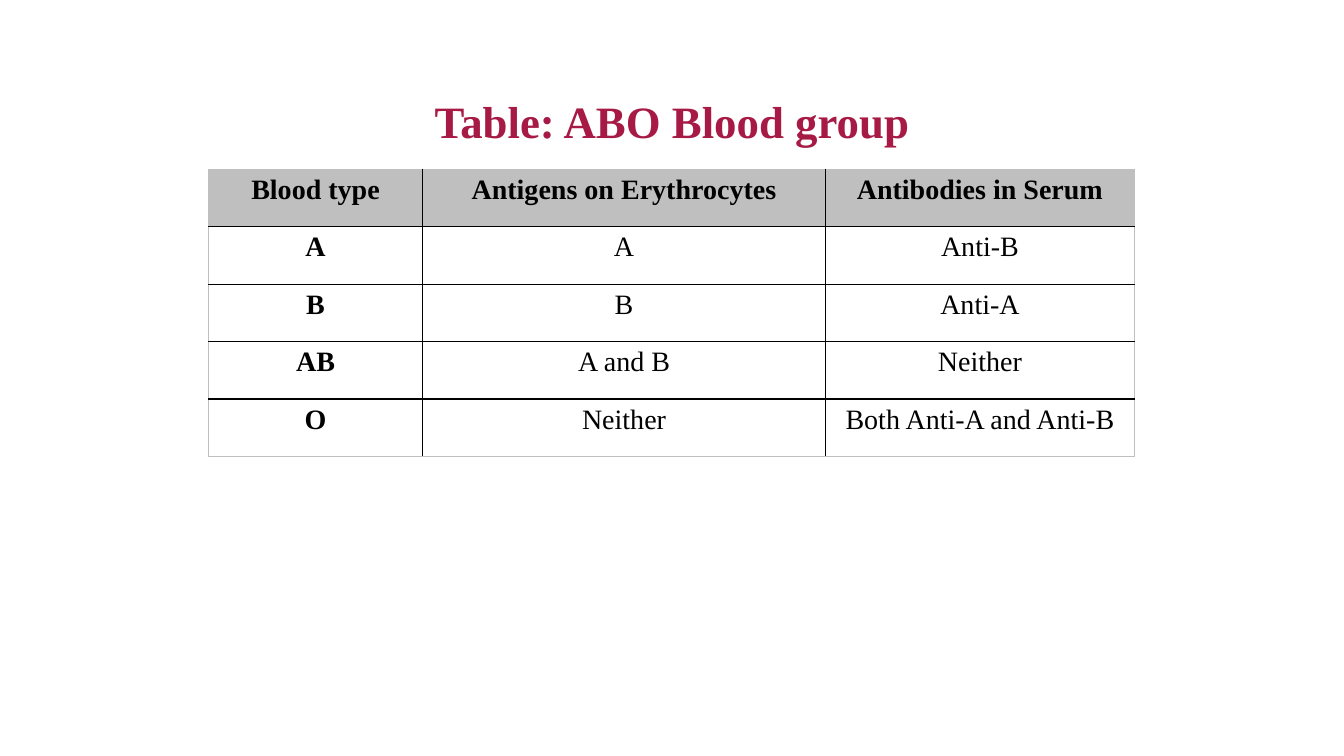
from lxml.etree import SubElement
from pptx import Presentation
from pptx.dml.color import RGBColor as RGB
from pptx.enum.text import MSO_ANCHOR as Anchor, MSO_AUTO_SIZE as AutoSize, PP_ALIGN as Align
from pptx.oxml import parse_xml
from pptx.oxml.ns import nsdecls, qn
from pptx.util import Inches, Pt

COLORS = {"title": "A61A45", "text": "000000", "header": "BFBFBF",
          "inner": "000000", "outer": "BFBFBF"}
FONT = "Times New Roman"
TITLE_BOX = (4.2, 0.88, 4.93, 0.64)
TABLE_BOX = (2.07, 1.68, 9.18, 2.85)
COLUMN_SHARES = (2.12, 4, 3.06)
BLOOD_GROUPS = [
    ("Blood type", "Antigens on Erythrocytes", "Antibodies in Serum"),
    ("A", "A", "Anti-B"),
    ("B", "B", "Anti-A"),
    ("AB", "A and B", "Neither"),
    ("O", "Neither", "Both Anti-A and Anti-B"),
]


def write_centered(frame, text, size, color, bold):
    frame.text = text
    paragraph = frame.paragraphs[0]
    paragraph.alignment = Align.CENTER
    font = paragraph.runs[0].font
    for name, value in {"name": FONT, "size": Pt(size), "bold": bold}.items():
        setattr(font, name, value)
    font.color.rgb = RGB.from_string(COLORS[color])


def add_title(slide, box):
    title = slide.shapes.title
    for name, value in zip(("left", "top", "width", "height"), box):
        setattr(title, name, Inches(value))
    frame = title.text_frame
    write_centered(frame, "Table: ABO Blood group", 32, "title", True)
    layout = {"word_wrap": False, "auto_size": AutoSize.SHAPE_TO_FIT_TEXT,
              "vertical_anchor": Anchor.MIDDLE}
    for name, value in layout.items():
        setattr(frame, name, value)


def set_borders(cell, outer_sides):
    """Draw all four sides, the table's outer edge in its own colour."""
    properties = cell._tc.get_or_add_tcPr()
    for position, side in enumerate("LRTB"):
        line = parse_xml(f'<a:ln{side} {nsdecls("a")} w="{Pt(1)}"/>')
        fill = SubElement(line, qn("a:solidFill"))
        color = COLORS["outer" if outer_sides[side] else "inner"]
        SubElement(fill, qn("a:srgbClr"), val=color)
        properties.insert(position, line)


def add_blood_table(slide, box):
    left, top, width, height = box
    row_count, column_count = len(BLOOD_GROUPS), len(COLUMN_SHARES)
    table = slide.shapes.add_table(row_count, column_count,
                                   *map(Inches, box)).table
    table.first_row = table.horz_banding = False

    # Grid
    for column, share in zip(table.columns, COLUMN_SHARES):
        column.width = Inches(width * share / sum(COLUMN_SHARES))
    for row in table.rows:
        row.height = Inches(height / row_count)

    # Cells
    for r, group in enumerate(BLOOD_GROUPS):
        for c, text in enumerate(group):
            cell = table.cell(r, c)
            write_centered(cell.text_frame, text, 20, "text", r == 0 or c == 0)
            set_borders(cell, {"L": c == 0, "R": c == column_count - 1,
                               "T": r == 0, "B": r == row_count - 1})
            if r == 0:
                cell.fill.solid()
                cell.fill.fore_color.rgb = RGB.from_string(COLORS["header"])
            else:
                cell.fill.background()


def main():
    deck = Presentation()
    deck.slide_width, deck.slide_height = Inches(13.33), Inches(7.5)
    slide = deck.slides.add_slide(deck.slide_layouts[5])
    add_blood_table(slide, TABLE_BOX)
    add_title(slide, TITLE_BOX)
    deck.save("out.pptx")


if __name__ == "__main__":
    main()
